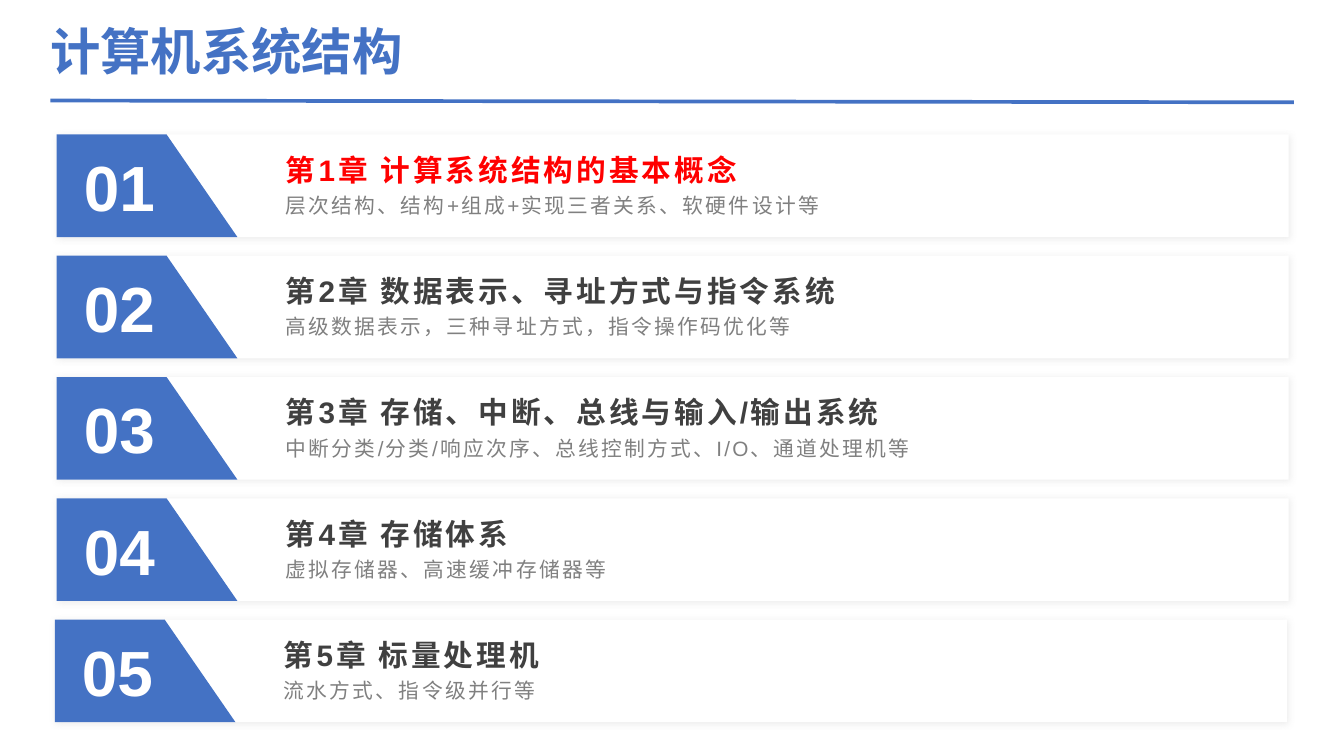
"""Build the chapter overview slide of a computer architecture course."""
from lxml.etree import SubElement
from pptx import Presentation
from pptx.dml.color import RGBColor
from pptx.enum.shapes import MSO_CONNECTOR as Connector, MSO_SHAPE as Shape
from pptx.enum.text import MSO_ANCHOR as Anchor, MSO_AUTO_SIZE as AutoSize, PP_ALIGN as Align
from pptx.oxml.ns import qn
from pptx.util import Pt

TITLE = "计算机系统结构"
CHAPTERS = [
    ("01", "第1章 计算系统结构的基本概念", "层次结构、结构+组成+实现三者关系、软硬件设计等"),
    ("02", "第2章 数据表示、寻址方式与指令系统", "高级数据表示，三种寻址方式，指令操作码优化等"),
    ("03", "第3章 存储、中断、总线与输入/输出系统", "中断分类/分类/响应次序、总线控制方式、I/O、通道处理机等"),
    ("04", "第4章 存储体系", "虚拟存储器、高速缓冲存储器等"),
    ("05", "第5章 标量处理机", "流水方式、指令级并行等"),
]
CURRENT = "01"
BLUE, RED, DARK, GRAY, WHITE = "4472C4", "FF0000", "404040", "808080", "FFFFFF"
FONT = "Arial"

ROW_LEFT, ROW_TOP, ROW_PITCH = 38.3, 90.8, 81.9
ROW_WIDTH, ROW_HEIGHT = 831.6, 69.3
LAST_SHIFT = -1.3
BADGE_TOP_WIDTH, BADGE_BOTTOM_WIDTH = 74.2, 122
TEXT_INDENT, TEXT_WIDTH = 148.2, 629.3


def color(hex_code):
    return RGBColor.from_string(hex_code)


def fill_plain(shape, hex_code):
    shape.shadow.inherit = False
    shape.fill.solid()
    shape.fill.fore_color.rgb = color(hex_code)
    shape.line.fill.background()


def write(box, text, size, hex_code, bold=True, spacing=0, line_spacing=None,
          align=Align.LEFT, anchor=Anchor.TOP, insets=(7.2, 3.6, 7.2, 3.6)):
    frame = box.text_frame
    frame.word_wrap = True
    frame.auto_size = AutoSize.NONE
    frame.vertical_anchor = anchor
    (frame.margin_left, frame.margin_top,
     frame.margin_right, frame.margin_bottom) = map(Pt, insets)
    para = frame.paragraphs[0]
    para.alignment = align
    para.line_spacing = line_spacing
    span = para.add_run()
    span.text = text
    font = span.font
    font.name, font.size, font.bold = FONT, Pt(size), bold
    font.color.rgb = color(hex_code)
    if spacing:
        span._r.get_or_add_rPr().set("spc", str(int(spacing * 100)))


def add_text(page, left, top, width, height, *text, **style):
    box = page.shapes.add_textbox(Pt(left), Pt(top), Pt(width), Pt(height))
    write(box, *text, **style)


def add_card(page, left, top):
    card = page.shapes.add_shape(Shape.RECTANGLE, Pt(left), Pt(top), Pt(ROW_WIDTH), Pt(ROW_HEIGHT))
    fill_plain(card, WHITE)
    effects = card._element.spPr.find(qn("a:effectLst"))
    shadow = SubElement(effects, qn("a:outerShdw"), blurRad=str(Pt(5)), dist="0", algn="ctr")
    tint = SubElement(shadow, qn("a:srgbClr"), val=GRAY)
    SubElement(tint, qn("a:alpha"), val="15000")


def add_badge(page, left, top):
    bottom = top + ROW_HEIGHT
    corners = [(left + BADGE_TOP_WIDTH, top), (left + BADGE_BOTTOM_WIDTH, bottom), (left, bottom)]
    outline = page.shapes.build_freeform(Pt(left), Pt(top))
    outline.add_line_segments([(Pt(x), Pt(y)) for x, y in corners])
    fill_plain(outline.convert_to_shape(), BLUE)


def add_chapter(page, left, top, number, heading, detail):
    add_card(page, left, top)
    add_badge(page, left, top)
    text_left = left + TEXT_INDENT
    add_text(page, text_left, top + 36, TEXT_WIDTH, 21.6, detail, 14, GRAY, bold=False,
             spacing=1.5, line_spacing=1.2, insets=(6.5, 0, 6.5, 3.6))
    add_text(page, text_left, top + 8, TEXT_WIDTH, 27.6, heading, 20,
             RED if number == CURRENT else DARK, spacing=2, line_spacing=1.2,
             anchor=Anchor.BOTTOM, insets=(6.5, 3.6, 6.5, 0))
    add_text(page, left + 8.8, top + 2.6, 67, 64, number, 43.1, WHITE,
             align=Align.CENTER, anchor=Anchor.MIDDLE)


def add_title(page):
    title = page.shapes.title
    title.left, title.top, title.width, title.height = map(Pt, (34, 11.5, 838.8, 45.4))
    write(title, TITLE, 34, BLUE, anchor=Anchor.MIDDLE, insets=(0, 0, 0, 0))
    rule = page.shapes.add_connector(Connector.STRAIGHT, Pt(34), Pt(67.9), Pt(873.4), Pt(69.1))
    rule.line.color.rgb = color(BLUE)
    rule.line.width = Pt(2.5)
    SubElement(rule._element.spPr, qn("a:effectLst"))


def main():
    deck = Presentation()
    deck.slide_width, deck.slide_height = Pt(907.2), Pt(510.48)
    page = deck.slides.add_slide(deck.slide_layouts[5])
    add_title(page)
    for index, chapter in enumerate(CHAPTERS):
        shift = LAST_SHIFT if index == len(CHAPTERS) - 1 else 0
        add_chapter(page, ROW_LEFT + shift, ROW_TOP + index * ROW_PITCH, *chapter)
    deck.save("out.pptx")


if __name__ == "__main__":
    main()
